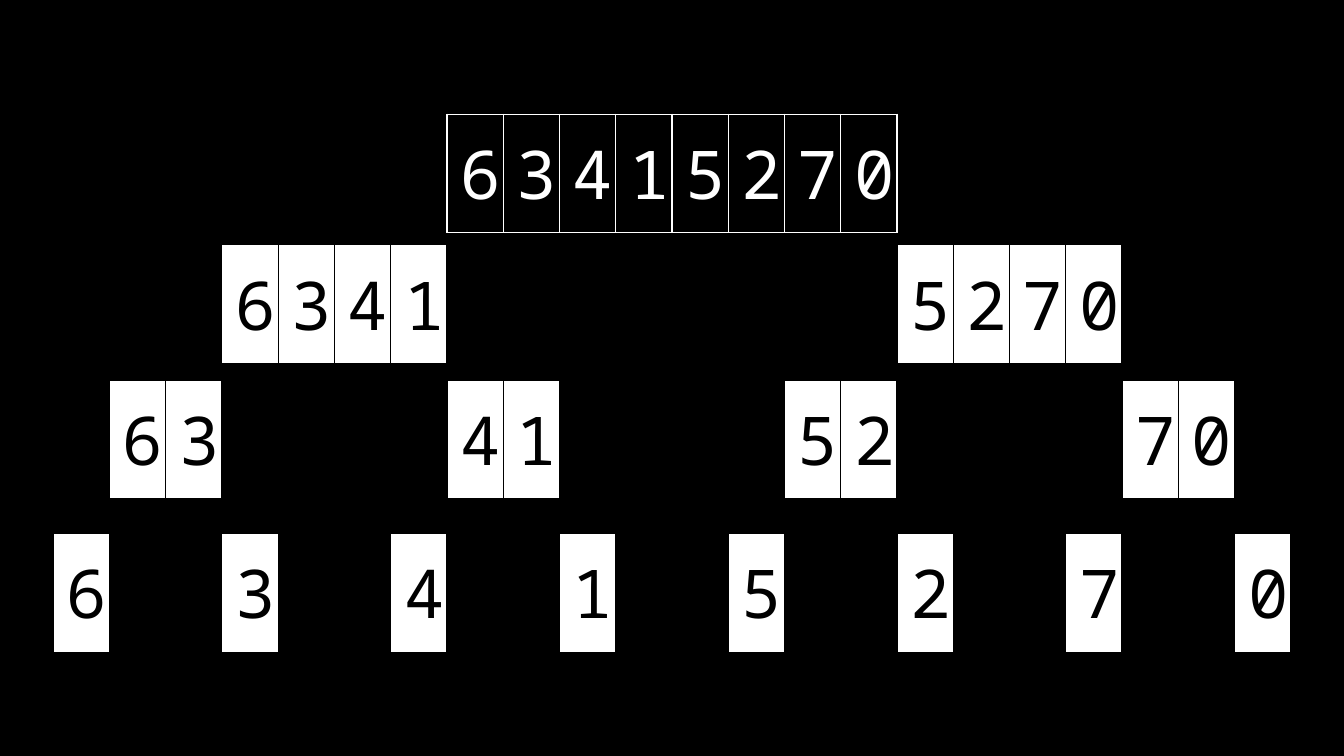
from dataclasses import dataclass

import pptx
import pptx.dml.color
import pptx.enum.text
import pptx.oxml
import pptx.oxml.ns
import pptx.util
from pptx.util import Inches

COLORS = {"black": "000000", "white": "FFFFFF"}
FONT = "Noto Sans Mono"
DIGITS = "63415270"
WIDTH = 10
HEIGHT = WIDTH * 9 / 16
SPAN = 9.21                          # from first leaf to last leaf
LEFT = (WIDTH - SPAN) / 2
CELL = SPAN / (3 * len(DIGITS) - 2)  # leaves stand two cells apart
ROW = 0.32                           # least height, grows with the text


@dataclass
class Level:
    size: int
    top: float
    ink: str = "black"
    edge: str = "black"
    fill: str | None = "white"


LEVELS = [
    Level(8, 0.85, ink="white", edge="white", fill=None),
    Level(4, 1.82),
    Level(2, 2.83),
    Level(1, 3.97),
]


def rgb(name: str) -> pptx.dml.color.RGBColor:
    return pptx.dml.color.RGBColor.from_string(COLORS[name])


def write(cell, text: str, *, color: str, size: float = 36, font: str = FONT) -> None:
    par = cell.text_frame.paragraphs[0]
    par.alignment = pptx.enum.text.PP_ALIGN.CENTER
    run = par.add_run()
    run.text = text
    run.font.size = pptx.util.Pt(size)
    run.font.name = font
    run.font.color.rgb = rgb(color)


def border(cell, color: str, width: float = 0.75) -> None:
    props = cell._tc.get_or_add_tcPr()
    for side in ("lnL", "lnR", "lnT", "lnB"):
        props.append(pptx.oxml.parse_xml(
            f'<a:{side} {pptx.oxml.ns.nsdecls("a")} w="{pptx.util.Pt(width)}">'
            f'<a:solidFill><a:srgbClr val="{COLORS[color]}"/></a:solidFill>'
            f'</a:{side}>'))


def draw_part(slide, level: Level, start: int) -> None:
    """Draw one part of the list, centred above the leaves it splits into."""
    left = LEFT + CELL * (3 * start + level.size - 1)
    table = slide.shapes.add_table(
        1, level.size, Inches(left), Inches(level.top),
        Inches(CELL * level.size), Inches(ROW)).table
    table.first_row = table.horz_banding = False
    for col in table.columns:
        col.width = Inches(CELL)
    for cell, digit in zip(table.iter_cells(), DIGITS[start:]):
        cell.margin_left = cell.margin_right = Inches(0.1)
        cell.margin_top = cell.margin_bottom = Inches(0.1)
        cell.vertical_anchor = pptx.enum.text.MSO_ANCHOR.MIDDLE
        border(cell, level.edge)
        if level.fill:
            cell.fill.solid()
            cell.fill.fore_color.rgb = rgb(level.fill)
        else:
            cell.fill.background()
        write(cell, digit, color=level.ink)


def main() -> None:
    deck = pptx.Presentation()
    deck.slide_width, deck.slide_height = Inches(WIDTH), Inches(HEIGHT)
    slide = deck.slides.add_slide(deck.slide_layouts[6])
    slide.background.fill.solid()
    slide.background.fill.fore_color.rgb = rgb("black")
    for level in LEVELS:
        for start in range(0, len(DIGITS), level.size):
            draw_part(slide, level, start)
    deck.save("out.pptx")


if __name__ == "__main__":
    main()
